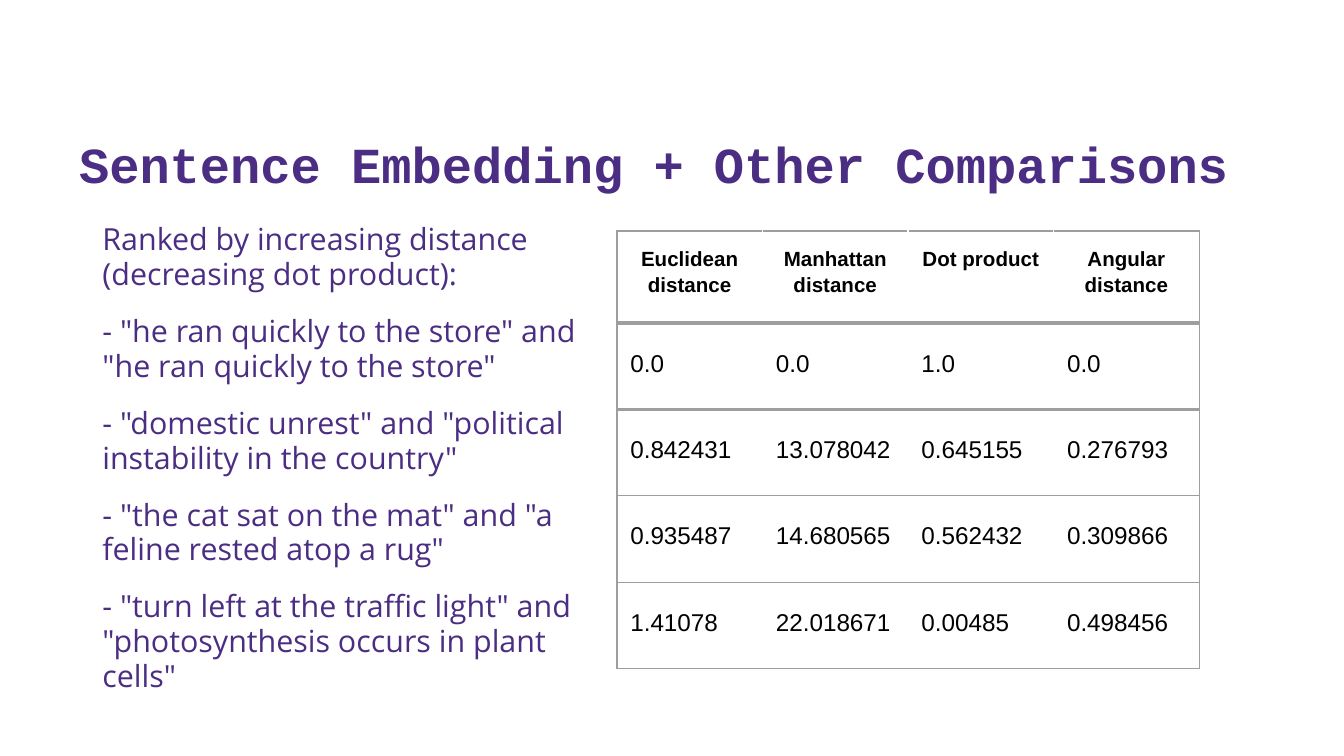
from dataclasses import dataclass

from lxml import etree
from pptx import Presentation
from pptx.dml.color import RGBColor
from pptx.enum.text import MSO_ANCHOR, PP_ALIGN
from pptx.oxml.ns import qn
from pptx.util import Pt

LEFT, CENTER = PP_ALIGN.LEFT, PP_ALIGN.CENTER
TOP, BOTTOM = MSO_ANCHOR.TOP, MSO_ANCHOR.BOTTOM
PURPLE = RGBColor(0x4B, 0x2E, 0x83)
BLACK = RGBColor(0x00, 0x00, 0x00)
GRAY = RGBColor(0x9E, 0x9E, 0x9E)
WHITE = RGBColor(0xFF, 0xFF, 0xFF)

INSET = 7.2
THIN, THICK = 0.75, 2.25
COLUMN_WIDTH, HEADER_HEIGHT, ROW_HEIGHT = 78, 49.3, 46.3


@dataclass
class TextStyle:
    font: str
    size: float
    color: RGBColor
    bold: bool = False
    align: int = LEFT
    line_spacing: float = 1.0
    gap: float = 0


@dataclass
class TextBlock:
    box: tuple[float, float, float, float]
    paragraphs: list[str]
    style: TextStyle
    anchor: int
    top_inset: float
    bottom_inset: float


TITLE_STYLE = TextStyle("Courier New", 27, PURPLE, bold=True)
PAIRS_STYLE = TextStyle("Open Sans", 16.3, PURPLE, line_spacing=0.95, gap=12)
HEADER_STYLE = TextStyle("Arial", 11, BLACK, True, CENTER, 1.15)
VALUE_STYLE = TextStyle("Arial", 13, BLACK, line_spacing=1.5)

TEXT_BLOCKS = [
    TextBlock((35.3, 28.8, 645.1, 78.5), ["Sentence Embedding + Other Comparisons"],
              TITLE_STYLE, BOTTOM, 3.6, 3.6),
    TextBlock((47.8, 106.6, 278.6, 266.4), [
        "Ranked by increasing distance (decreasing dot product):",
        '- "he ran quickly to the store" and "he ran quickly to the store"',
        '- "domestic unrest" and "political instability in the country"',
        '- "the cat sat on the mat" and "a feline rested atop a rug"',
        '- "turn left at the traffic light" and "photosynthesis occurs in plant cells"',
    ], PAIRS_STYLE, TOP, 12.9, INSET),
]

DISTANCES = [
    ["Euclidean distance", "Manhattan distance", "Dot product", "Angular distance"],
    ["0.0", "0.0", "1.0", "0.0"],
    ["0.842431", "13.078042", "0.645155", "0.276793"],
    ["0.935487", "14.680565", "0.562432", "0.309866"],
    ["1.41078", "22.018671", "0.00485", "0.498456"],
]


def write_text(frame, paragraphs: list[str], style: TextStyle) -> None:
    for index, text in enumerate(paragraphs):
        paragraph = frame.paragraphs[0] if index == 0 else frame.add_paragraph()
        paragraph.alignment = style.align
        paragraph.line_spacing = style.line_spacing
        paragraph.space_before = Pt(style.gap if index else 0)
        run = paragraph.add_run()
        run.text = text
        run.font.color.rgb = style.color
        formats = {"name": style.font, "size": Pt(style.size), "bold": style.bold}
        for attribute, value in formats.items():
            setattr(run.font, attribute, value)


def add_text_block(slide, block: TextBlock) -> None:
    frame = slide.shapes.add_textbox(*map(Pt, block.box)).text_frame
    formats = {
        "word_wrap": True, "vertical_anchor": block.anchor,
        "margin_left": Pt(INSET), "margin_right": Pt(INSET),
        "margin_top": Pt(block.top_inset), "margin_bottom": Pt(block.bottom_inset),
    }
    for attribute, value in formats.items():
        setattr(frame, attribute, value)
    write_text(frame, block.paragraphs, block.style)


def set_border(cell, tag: str, color: RGBColor, width: float) -> None:
    properties = cell._tc.get_or_add_tcPr()
    line = etree.SubElement(properties, qn(f"a:{tag}"), w=str(Pt(width)))
    fill = etree.SubElement(line, qn("a:solidFill"))
    etree.SubElement(fill, qn("a:srgbClr"), val=str(color))
    etree.SubElement(line, qn("a:prstDash"), val="solid")


def add_distance_table(slide, left: float, top: float) -> None:
    row_count, column_count = len(DISTANCES), len(DISTANCES[0])
    height = HEADER_HEIGHT + ROW_HEIGHT * (row_count - 1)
    table = slide.shapes.add_table(
        row_count, column_count, Pt(left), Pt(top),
        Pt(COLUMN_WIDTH * column_count), Pt(height)).table
    table.first_row = table.horz_banding = False
    for column in table.columns:
        column.width = Pt(COLUMN_WIDTH)
    for r, values in enumerate(DISTANCES):
        table.rows[r].height = Pt(ROW_HEIGHT if r else HEADER_HEIGHT)
        for c, value in enumerate(values):
            cell = table.cell(r, c)
            for side in ("left", "top", "right", "bottom"):
                setattr(cell, f"margin_{side}", Pt(INSET))
            write_text(cell.text_frame, [value], VALUE_STYLE if r else HEADER_STYLE)
            # Gray outline and row rules, white column rules, thick rules around row 1
            set_border(cell, "lnL", WHITE if c else GRAY, THIN)
            set_border(cell, "lnR", GRAY if c == column_count - 1 else WHITE, THIN)
            set_border(cell, "lnT", GRAY, THICK if r in (1, 2) else THIN)
            set_border(cell, "lnB", GRAY, THICK if r in (0, 1) else THIN)
            cell.fill.background()


def main() -> None:
    presentation = Presentation()
    presentation.slide_width, presentation.slide_height = Pt(720), Pt(405)
    slide = presentation.slides.add_slide(presentation.slide_layouts[6])

    # Title and ranked sentence pairs
    for block in TEXT_BLOCKS:
        add_text_block(slide, block)

    # Distance measures
    add_distance_table(slide, 330.5, 123.8)

    presentation.save("out.pptx")


if __name__ == "__main__":
    main()
